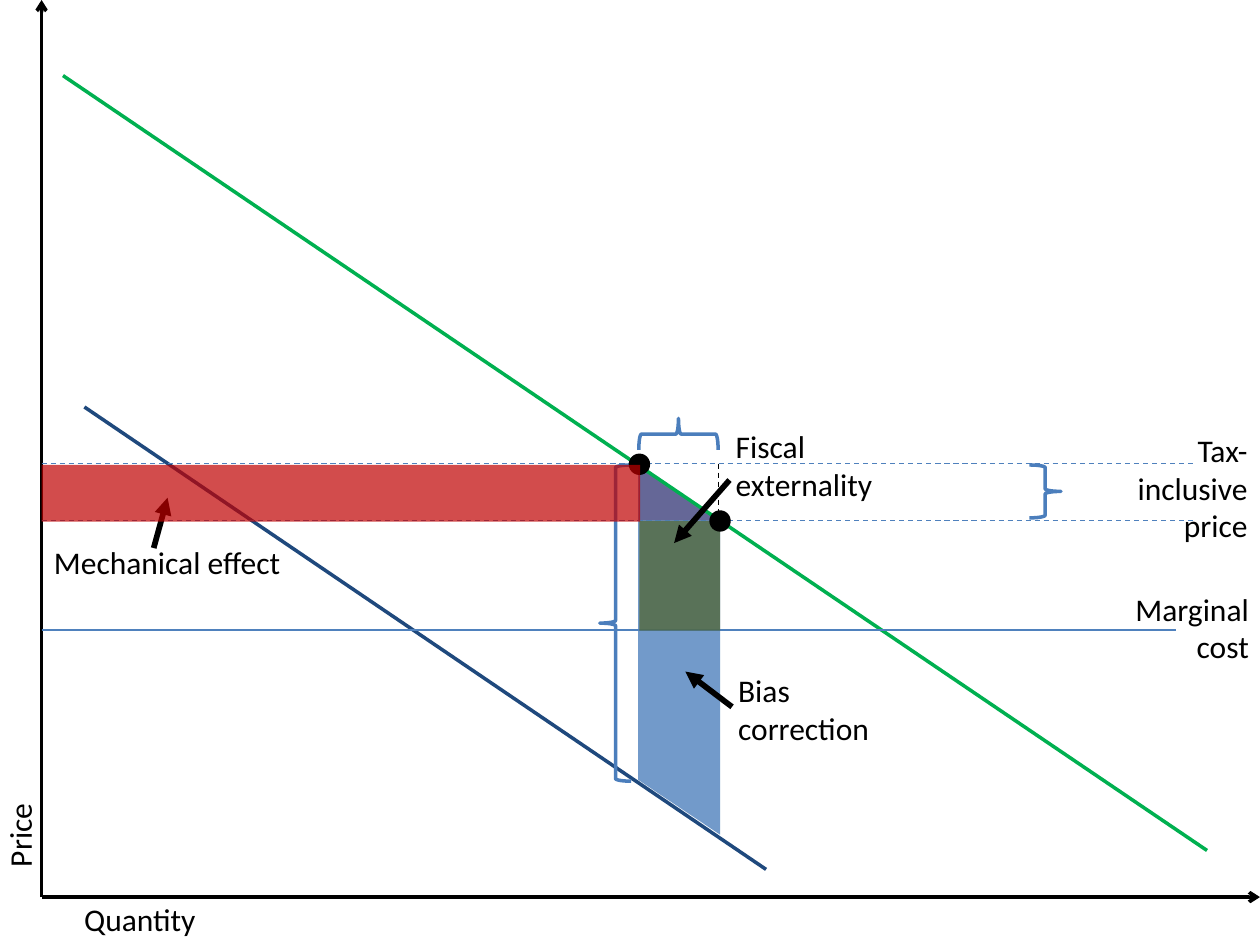
from lxml import etree
from pptx import Presentation
from pptx.dml.color import RGBColor
from pptx.enum.dml import MSO_LINE
from pptx.enum.shapes import MSO_CONNECTOR, MSO_SHAPE
from pptx.enum.text import MSO_AUTO_SIZE, PP_ALIGN
from pptx.oxml.ns import qn
from pptx.util import Inches, Pt

STRAIGHT = MSO_CONNECTOR.STRAIGHT
RECTANGLE = MSO_SHAPE.RECTANGLE
TRIANGLE = MSO_SHAPE.RIGHT_TRIANGLE
PARALLELOGRAM = MSO_SHAPE.PARALLELOGRAM
OVAL = MSO_SHAPE.OVAL
BRACE = MSO_SHAPE.RIGHT_BRACE
DASH = MSO_LINE.DASH
FIT = MSO_AUTO_SIZE.SHAPE_TO_FIT_TEXT
LEFT, CENTER, RIGHT = PP_ALIGN.LEFT, PP_ALIGN.CENTER, PP_ALIGN.RIGHT

COLORS = {
    "black": "000000",
    "red": "C00000",
    "blue": "4F81BD",
    "brace": "4B7EBC",
    "navy": "1F497D",
    "green": "00B050",
    "olive": "4F6228",
}

# The page is a grid of one-inch cells; positions are (column, row).
COLUMNS, ROWS = 10, 7.5
AXIS_X, AXIS_Y = 0.33, 7.12
HIGH_PRICE, LOW_PRICE, MARGINAL_COST = 3.68, 4.13, 5
LOW_QUANTITY, HIGH_QUANTITY = 5.07, 5.7


class Diagram:
    """Holds the text style and the page being drawn."""

    font_name = "Calibri"
    font_size = Pt(18)

    def __init__(self, page):
        self.shapes = page.shapes

    def color(self, name):
        return RGBColor.from_string(COLORS[name])

    def line(self, start, end, color, width, head=None, dashed=False):
        """Draw a straight line; head names the arrowhead at its end."""
        ends = [Inches(value) for value in (*start, *end)]
        line = self.shapes.add_connector(STRAIGHT, *ends)
        line.line.color.rgb = self.color(color)
        line.line.width = Pt(width)
        if dashed:
            line.line.dash_style = DASH
        if head:
            etree.SubElement(line.line._get_or_add_ln(), qn("a:tailEnd"), type=head)
        etree.SubElement(line._element.spPr, qn("a:effectLst"))

    def shape(self, kind, box, rotation=0):
        shape = self.shapes.add_shape(kind, *[Inches(value) for value in box])
        shape.shadow.inherit = False
        shape.rotation = rotation
        return shape

    def area(self, kind, box, color, opacity=100, rotation=0):
        area = self.shape(kind, box, rotation)
        area.fill.solid()
        area.fill.fore_color.rgb = self.color(color)
        area.line.fill.background()
        if opacity < 100:
            fill = area._element.spPr.find(qn("a:solidFill"))
            etree.SubElement(fill[0], qn("a:alpha"), val=str(opacity * 1000))
        return area

    def brace(self, box, rotation=0):
        brace = self.shape(BRACE, box, rotation)
        brace.fill.background()
        brace.line.color.rgb = self.color("brace")
        brace.line.width = Pt(2)

    def label(self, text, box, align=LEFT, rotation=0):
        label = self.shapes.add_textbox(*[Inches(value) for value in box])
        label.rotation = rotation
        frame = label.text_frame
        frame.word_wrap = True
        frame.auto_size = FIT
        paragraph = frame.paragraphs[0]
        paragraph.text = text
        paragraph.alignment = align
        paragraph.font.name = self.font_name
        paragraph.font.size = self.font_size
        paragraph.font.color.rgb = self.color("black")

    def pointer(self, start, end):
        self.line(start, end, "black", 3.25, head="triangle")

    def price_line(self, price, start, end, dashed=False):
        self.line((start, price), (end, price), "blue", 0.75, dashed=dashed)

    def point(self, left, top):
        self.area(OVAL, (left, top, 0.17, 0.17), "black")


def draw_market(diagram):
    gap = HIGH_QUANTITY - LOW_QUANTITY
    rise = LOW_PRICE - HIGH_PRICE
    diagram.area(TRIANGLE, (LOW_QUANTITY, HIGH_PRICE, gap, rise), "red")
    bias = diagram.area(PARALLELOGRAM, (3.93, 4.84, 2.92, 0.65), "blue", 80, rotation=90)
    bias.adjustments[0] = 0.67
    for flip in ("flipH", "flipV"):
        bias._element.spPr.xfrm.set(flip, "1")

    diagram.line((0.67, 3.23), (6.08, 6.9), "navy", 2)
    diagram.line((0.5, 0.6), (9.58, 6.75), "green", 2)
    for axis_end in ((AXIS_X, 0), (COLUMNS, AXIS_Y)):
        diagram.line((AXIS_X, AXIS_Y), axis_end, "black", 2, head="arrow")
    diagram.label("Quantity", (0.57, 7.09, 1.1, 0.4))
    diagram.label("Price", (-0.26, 6.43, 0.83, 0.4), CENTER, rotation=270)

    diagram.price_line(LOW_PRICE, AXIS_X, 9.49, dashed=True)
    diagram.price_line(HIGH_PRICE, AXIS_X, 9.5, dashed=True)
    diagram.brace((4.76, 3.69, 0.25, 2.51), rotation=180)
    diagram.point(4.99, 3.6)
    diagram.price_line(MARGINAL_COST, AXIS_X, 9.33)


def draw_effects(diagram):
    diagram.label("Fiscal externality", (5.74, 3.34, 1.55, 0.71))
    diagram.pointer((1.22, 4.35), (1.33, 3.95))
    diagram.brace((8.17, 3.69, 0.25, 0.42))
    diagram.label("Tax-inclusive price", (8.93, 3.37, 1.07, 1.01), RIGHT)
    diagram.pointer((5.81, 5.61), (5.44, 5.33))
    diagram.label("Bias correction", (5.76, 5.28, 1.49, 0.71))
    diagram.label("Mechanical effect", (AXIS_X, 4.26, 2.02, 0.4))
    diagram.label("Marginal cost", (8.64, 4.63, 1.37, 0.71), RIGHT)

    diagram.area(RECTANGLE, (4.96, 4.25, 0.87, 0.64), "olive", 70, rotation=90)
    diagram.pointer((5.79, 3.81), (5.35, 4.31))
    diagram.brace((5.26, 3.13, 0.25, 0.63), rotation=270)
    diagram.line((HIGH_QUANTITY, HIGH_PRICE), (HIGH_QUANTITY, LOW_PRICE),
                 "black", 0.75, dashed=True)
    diagram.area(RECTANGLE, (AXIS_X, 3.69, 4.75, 0.45), "red", 70)
    diagram.point(5.63, 4.05)


def main():
    deck = Presentation()
    deck.slide_width, deck.slide_height = Inches(COLUMNS), Inches(ROWS)
    diagram = Diagram(deck.slides.add_slide(deck.slide_layouts[6]))
    draw_market(diagram)
    draw_effects(diagram)
    deck.save("out.pptx")


if __name__ == "__main__":
    main()
